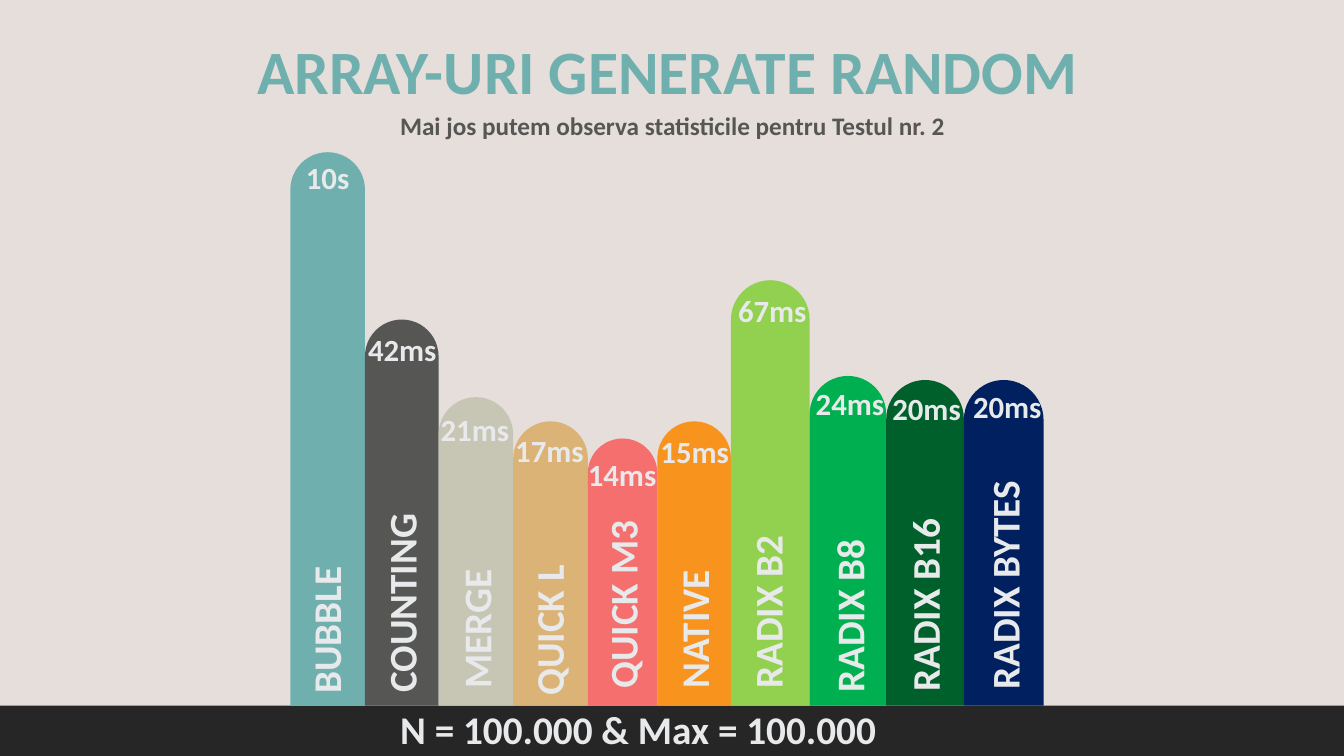
from pptx import Presentation
from pptx.dml.color import RGBColor
from pptx.enum.shapes import MSO_SHAPE
from pptx.enum.text import MSO_ANCHOR, MSO_AUTO_SIZE, PP_ALIGN
from pptx.util import Emu, Pt

# Content
TITLE = "ARRAY-URI GENERATE RANDOM"
SUBTITLE = "Mai jos putem observa statisticile pentru Testul nr. 2"
FOOTER = "N = 100.000 & Max = 100.000"
COLORS = {
    "background": "E5DEDB", "floor": "262626", "light": "E8E9EB",
    "teal": "6FB0AE", "gray": "565654", "stone": "C7C6B4", "sand": "DCB376",
    "coral": "F46F6E", "orange": "F8931D", "lime": "92D050",
    "green": "00B050", "forest": "00602B", "navy": "002060",
}
# name, time, color, bar width, bar top, time center x, time top,
# name center x, name bottom, name length
BARS = [
    ("BUBBLE", "10s", "teal", 74, 151, 325, 153, 323, 698, 150),
    ("COUNTING", "42ms", "gray", 73, 317, 399, 323, 398, 697, 207),
    ("MERGE", "21ms", "stone", 74, 394, 471, 403, 472, 693, 155),
    ("QUICK L", "17ms", "sand", 74, 418, 545, 423, 544, 700, 171),
    ("QUICK M3", "14ms", "coral", 69, 435, 617, 447, 617, 693, 275),
    ("NATIVE", "15ms", "orange", 73, 418, 689, 424, 688, 693, 159),
    ("RADIX B2", "67ms", "lime", 78, 278, 766, 285, 761, 693, 185),
    ("RADIX B8", "24ms", "green", 76, 373, 843, 377, 842, 697, 185),
    ("RADIX B16", "20ms", "forest", 77, 377, 919, 382, 917, 696, 240),
    ("RADIX BYTES", "20ms", "navy", 79, 377, 999, 380, 996, 694, 248),
]

# Layout, in px (100 px to the inch)
PAGE_WIDTH, PAGE_HEIGHT = 1333, 750
BARS_LEFT, FLOOR_TOP = 288, 700
TIME_WIDTH, TIME_HEIGHT, NAME_HEIGHT = 100, 47, 57


def px(length):
    return Emu(round(length * 9144))


def place(box, left, top, width, height):
    box.left, box.top = px(left), px(top)
    box.width, box.height = px(width), px(height)


def write(box, text, size=28, color="light", align=PP_ALIGN.LEFT):
    frame = box.text_frame
    frame.word_wrap = True
    frame.auto_size = MSO_AUTO_SIZE.NONE
    frame.vertical_anchor = MSO_ANCHOR.TOP
    para = frame.paragraphs[0]
    para.alignment = align
    para.space_before = Pt(0)
    span = para.add_run()
    span.text = text
    span.font.name = "Calibri"
    span.font.size = Pt(size)
    span.font.bold = True
    span.font.color.rgb = RGBColor.from_string(COLORS[color])


def add_text(page, text, left, top, width, height, **style):
    box = page.shapes.add_textbox(px(left), px(top), px(width), px(height))
    write(box, text, **style)
    return box


def add_block(page, kind, color, left, top, width, height):
    block = page.shapes.add_shape(kind, px(left), px(top), px(width), px(height))
    block.shadow.inherit = False
    block.fill.solid()
    block.fill.fore_color.rgb = RGBColor.from_string(COLORS[color])
    block.line.fill.background()
    return block


def main():
    deck = Presentation()
    deck.slide_width, deck.slide_height = px(PAGE_WIDTH), px(PAGE_HEIGHT)
    page = deck.slides.add_slide(deck.slide_layouts[0])
    page.background.fill.solid()
    page.background.fill.fore_color.rgb = RGBColor.from_string(COLORS["background"])

    # Headings
    title, subtitle = page.placeholders
    place(title, 155, 28, 1015, 84)
    write(title, TITLE, size=44, color="teal", align=PP_ALIGN.CENTER)
    place(subtitle, 310, 104, 714, 40)
    write(subtitle, SUBTITLE, size=18, color="gray", align=PP_ALIGN.CENTER)

    # Floor
    add_block(page, MSO_SHAPE.RECTANGLE, "floor",
              0, FLOOR_TOP, PAGE_WIDTH, PAGE_HEIGHT - FLOOR_TOP)
    add_text(page, FOOTER, 387, 695, 701, 57)

    # Bars side by side, each with its time and upright name
    left = BARS_LEFT
    for (name, time, color, width, top, time_x, time_top,
         name_x, name_bottom, length) in BARS:
        bar = add_block(page, MSO_SHAPE.ROUND_2_SAME_RECTANGLE, color,
                        left, top, width, FLOOR_TOP - top)
        bar.adjustments[0], bar.adjustments[1] = 0.5, 0
        left += width
        add_text(page, time, time_x - TIME_WIDTH / 2, time_top,
                 TIME_WIDTH, TIME_HEIGHT, size=22, align=PP_ALIGN.CENTER)
        label = add_text(page, name, name_x - length / 2,
                         name_bottom - (length + NAME_HEIGHT) / 2,
                         length, NAME_HEIGHT)
        label.rotation = 270

    deck.save("out.pptx")


if __name__ == "__main__":
    main()
